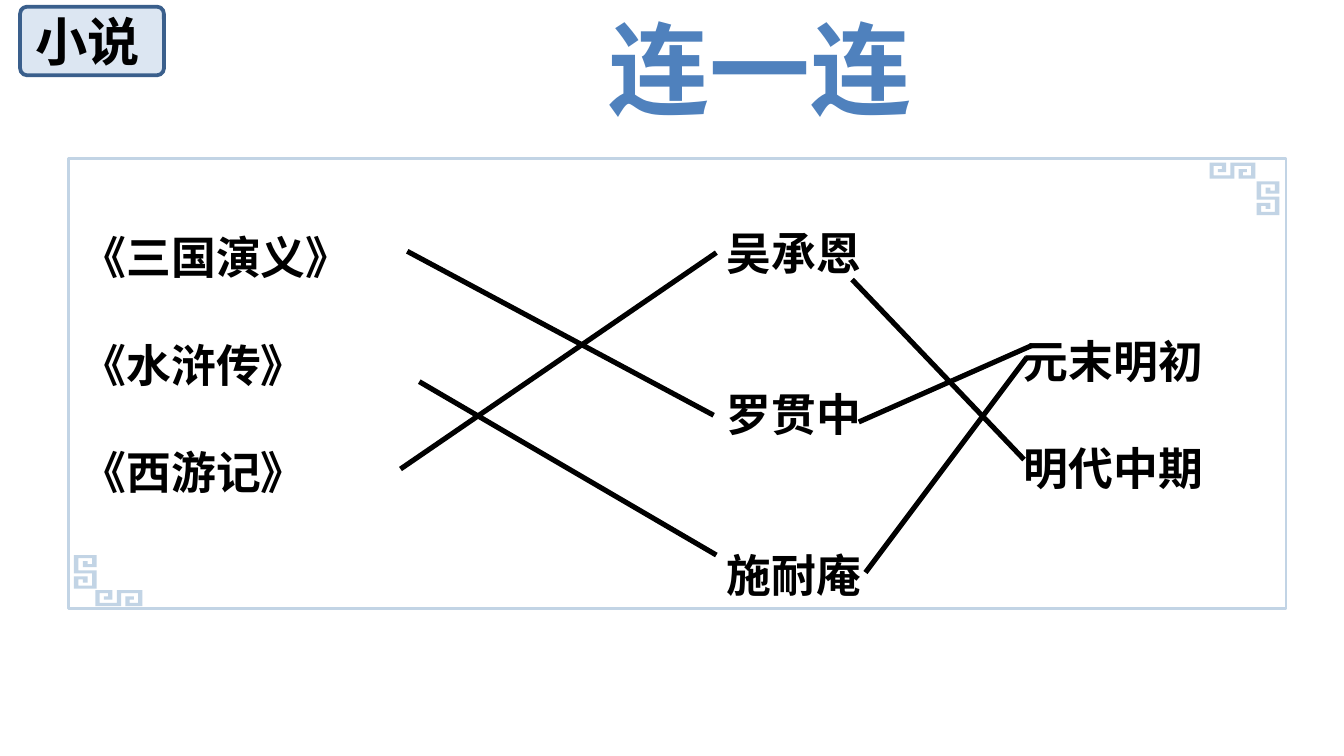
from dataclasses import dataclass

from lxml import etree
from pptx import Presentation
from pptx.dml.color import RGBColor
from pptx.enum.shapes import MSO_CONNECTOR as CONN, MSO_SHAPE as SHAPE
from pptx.enum.text import MSO_ANCHOR as ANCHOR, MSO_AUTO_SIZE as AUTO, PP_ALIGN as ALIGN
from pptx.oxml.ns import qn
from pptx.util import Inches, Pt


@dataclass(frozen=True)
class Theme:
    ink: RGBColor = RGBColor(0, 0, 0)
    title: RGBColor = RGBColor(0x4F, 0x81, 0xBD)
    border: RGBColor = RGBColor(0xC2, 0xD4, 0xE5)
    tag_fill: RGBColor = RGBColor(0xDC, 0xE6, 0xF2)
    tag_line: RGBColor = RGBColor(0x3A, 0x5F, 0x8C)
    cjk: str = "Noto Sans CJK SC"
    latin: str = "Arial"
    title_size: int = 54
    tag_size: int = 28
    body_size: int = 24


T = Theme()
LEADING = 1.2  # line height in ems

# Fret ornament on a grid of 11 by 5 units
FRET = [(0, 5), (6, 5), (6, 1), (10, 1), (10, 4), (8, 4), (8, 3), (9, 3),
        (9, 2), (7, 2), (7, 5), (11, 5), (11, 0), (5, 0), (5, 4), (1, 4),
        (1, 1), (3, 1), (3, 2), (2, 2), (2, 3), (4, 3), (4, 0), (0, 0)]
TURNS = {0: lambda u, v: (u, v), 90: lambda u, v: (1 - v, u),
         180: lambda u, v: (1 - u, 1 - v), 270: lambda u, v: (v, 1 - u)}


def write(sp, lines, size, font, color, gap=0, align=ALIGN.LEFT, anchor=ANCHOR.TOP):
    """Fill a shape with bold lines, `gap` line heights apart."""
    tf = sp.text_frame
    frame = {"word_wrap": True, "auto_size": AUTO.NONE, "vertical_anchor": anchor,
             "margin_left": Inches(0.1), "margin_right": Inches(0.1),
             "margin_top": Inches(0.05), "margin_bottom": Inches(0.05)}
    for name, value in frame.items():
        setattr(tf, name, value)
    for i, line in enumerate(lines):
        p = tf.paragraphs[0] if i == 0 else tf.add_paragraph()
        p.alignment = align
        p.line_spacing = Pt(size * LEADING)
        p.space_before = Pt(size * LEADING * gap if i else 0)
        r = p.add_run()
        r.text = line
        for name, value in {"name": font, "size": Pt(size), "bold": True}.items():
            setattr(r.font, name, value)
        r.font.color.rgb = color
        etree.SubElement(r.font._element, qn("a:ea"), typeface=T.cjk)


def add_title(slide, box, text):
    sp = slide.shapes.title
    for name, value in zip(("left", "top", "width", "height"), box):
        setattr(sp, name, Inches(value))
    write(sp, [text], T.title_size, T.latin, T.title, align=ALIGN.CENTER)


def add_tag(slide, box, text):
    sp = slide.shapes.add_shape(SHAPE.ROUNDED_RECTANGLE, *map(Inches, box))
    sp.shadow.inherit = False
    sp.adjustments[0] = 0.1
    sp.fill.solid()
    sp.fill.fore_color.rgb = T.tag_fill
    sp.line.color.rgb = T.tag_line
    sp.line.width = Pt(2)
    write(sp, [text], T.tag_size, T.cjk, T.ink, anchor=ANCHOR.MIDDLE)


def add_fret(slide, box, turn):
    x, y, w, h = box
    points = [TURNS[turn](c / 11, r / 5) for c, r in FRET]
    points = [(Inches(x + u * w), Inches(y + v * h)) for u, v in points]
    builder = slide.shapes.build_freeform(*points[0])
    builder.add_line_segments(points[1:], close=True)
    sp = builder.convert_to_shape()
    sp.shadow.inherit = False
    sp.fill.solid()
    sp.fill.fore_color.rgb = T.border
    sp.line.fill.background()


def add_panel(slide, box):
    """Outlined panel with frets in two opposite corners."""
    x, y, w, h = box
    sp = slide.shapes.add_shape(SHAPE.RECTANGLE, *map(Inches, box))
    sp.shadow.inherit = False
    sp.fill.background()
    sp.line.color.rgb = T.border
    sp.line.width = Pt(1.5)
    right, bottom = x + w, y + h
    add_fret(slide, (x + 0.2, bottom - 0.14, 0.35, 0.12), 0)
    add_fret(slide, (x + 0.04, bottom - 0.4, 0.17, 0.25), 270)
    add_fret(slide, (right - 0.57, y + 0.03, 0.34, 0.12), 180)
    add_fret(slide, (right - 0.22, y + 0.17, 0.17, 0.25), 90)


def add_column(slide, box, lines, gap):
    sp = slide.shapes.add_textbox(*map(Inches, box))
    write(sp, lines, T.body_size, T.cjk, T.ink, gap)


def add_link(slide, start, end):
    line = slide.shapes.add_connector(CONN.STRAIGHT, *map(Inches, start + end))
    line.line.color.rgb = T.ink
    line.line.width = Pt(2.75)
    etree.SubElement(line._element.spPr, qn("a:effectLst"))


def add_matching(slide, box):
    """Three columns of works, authors and eras, joined by lines."""
    x, y, w, h = box
    columns = [
        ((0, 0.48, 3.15, 2.12), ["《三国演义》", "《水浒传》", "《西游记》"], 1),
        ((4.8, 0.45, 1.41, 2.93), ["吴承恩", "罗贯中", "施耐庵"], 2),
        ((7.01, 1.25, 1.75, 1.31), ["元末明初", "明代中期"], 1),
    ]
    for (dx, dy, cw, ch), lines, gap in columns:
        add_column(slide, (x + dx, y + dy, cw, ch), lines, gap)
    links = [
        # work to author
        ((2.52, 0.69), (4.8, 1.91)),
        ((2.61, 1.66), (4.82, 2.95)),
        ((2.47, 2.31), (4.82, 0.7)),
        # author to era
        ((5.93, 3.08), (7.13, 1.48)),
        ((5.88, 1.96), (7.17, 1.39)),
        ((5.83, 0.9), (7.11, 2.24)),
    ]
    for (x1, y1), (x2, y2) in links:
        add_link(slide, (x + x1, y + y1), (x + x2, y + y2))


def main():
    prs = Presentation()
    prs.slide_width = Inches(10)
    prs.slide_height = prs.slide_width * 9 // 16  # widescreen
    slide = prs.slides.add_slide(prs.slide_layouts[5])
    panel = (0.51, 1.18, 9.06, 3.35)
    add_panel(slide, panel)
    add_matching(slide, panel)
    add_title(slide, (4.25, 0, 2.81, 1.01), "连一连")
    add_tag(slide, (0.15, 0.05, 1.07, 0.51), "小说")
    prs.save("out.pptx")


if __name__ == "__main__":
    main()
